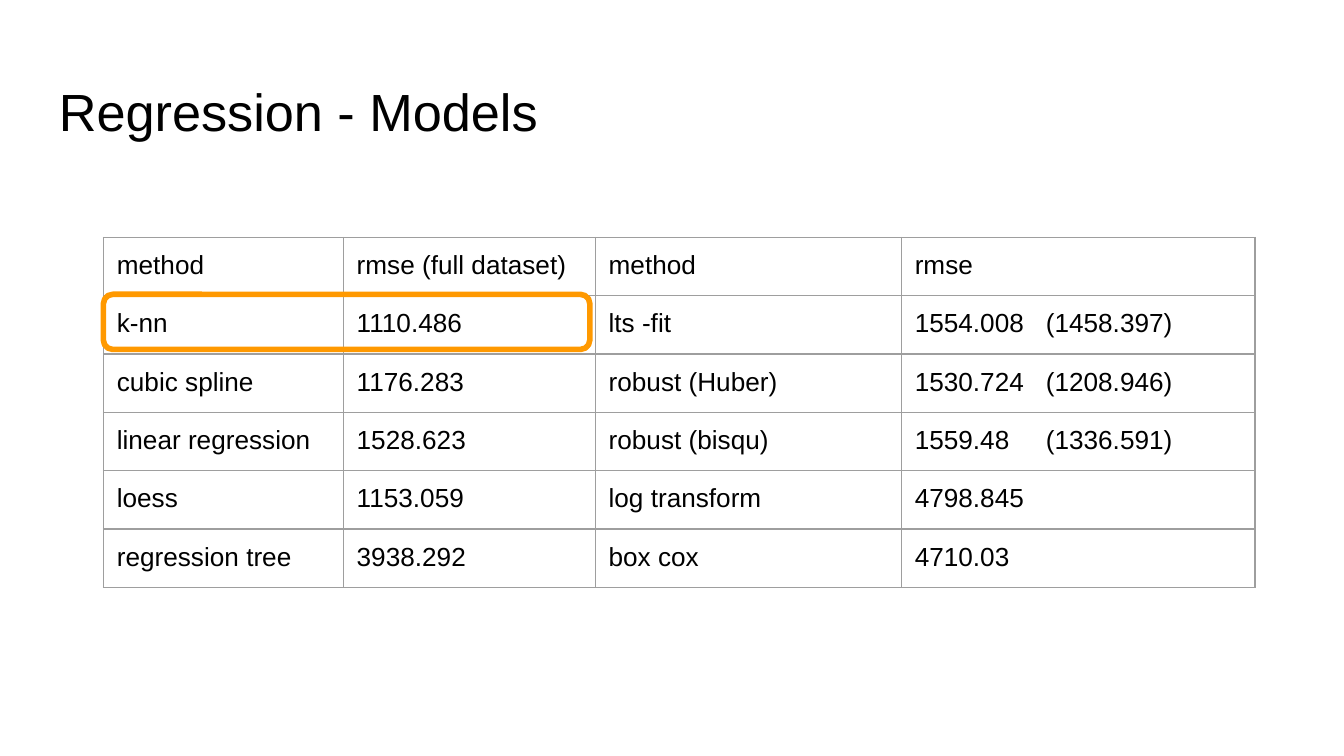
import pptx
import pptx.dml.color
import pptx.enum.shapes
import pptx.oxml
import pptx.oxml.ns
import pptx.util

Pt = pptx.util.Pt
FONT = "Arial"
COLORS = {"text": "000000", "grid": "9E9E9E", "highlight": "FF9900"}

TITLE = "Regression - Models"
ROWS = [
    ("method", "rmse (full dataset)", "method", "rmse"),
    ("k-nn", "1110.486", "lts -fit", "1554.008\t(1458.397)"),
    ("cubic spline", "1176.283", "robust (Huber)", "1530.724\t(1208.946)"),
    ("linear regression", "1528.623", "robust (bisqu)", "1559.48\t(1336.591)"),
    ("loess", "1153.059", "log transform", "4798.845"),
    ("regression tree", "3938.292", "box cox", "4710.03"),
]
COL_WIDTHS = [128.5, 135, 164, 189.5]
ROW_HEIGHT = 30.1
LEFT, TOP = 55.4, 127.2
INSET = 7.2
TAB_STOP = 70.2
HIGHLIGHT_ROW = 1
HIGHLIGHT_WIDTH = 260.6


def rgb(name):
    return pptx.dml.color.RGBColor.from_string(COLORS[name])


def set_text(tf, text, size):
    tf.text = text
    font = tf.paragraphs[0].runs[0].font
    font.name, font.size = FONT, Pt(size)
    font.color.rgb = rgb("text")


def set_insets(obj):
    obj.margin_left = obj.margin_right = Pt(INSET)
    obj.margin_top = obj.margin_bottom = Pt(INSET)


def add_tab_stop(p, pos):
    pPr = p._p.get_or_add_pPr()
    pPr.append(pptx.oxml.parse_xml(
        f'<a:tabLst {pptx.oxml.ns.nsdecls("a")}>'
        f'<a:tab pos="{Pt(pos)}" algn="l"/></a:tabLst>'))


def set_borders(cell, color, width):
    tcPr = cell._tc.get_or_add_tcPr()
    for i, side in enumerate(("lnL", "lnR", "lnT", "lnB")):
        tcPr.insert(i, pptx.oxml.parse_xml(
            f'<a:{side} {pptx.oxml.ns.nsdecls("a")} w="{Pt(width)}">'
            f'<a:solidFill><a:srgbClr val="{color}"/></a:solidFill></a:{side}>'))


def add_title(slide):
    sp = slide.shapes.add_textbox(Pt(24.5), Pt(35.3), Pt(671), Pt(45.4))
    tf = sp.text_frame
    tf.word_wrap = True
    set_insets(tf)
    set_text(tf, TITLE, 28)


def add_models_table(slide):
    table = slide.shapes.add_table(
        len(ROWS), len(COL_WIDTHS), Pt(LEFT), Pt(TOP),
        Pt(sum(COL_WIDTHS)), Pt(ROW_HEIGHT * len(ROWS))).table
    table.first_row = table.horz_banding = False
    for col, width in zip(table.columns, COL_WIDTHS):
        col.width = Pt(width)
    for row, texts in zip(table.rows, ROWS):
        row.height = Pt(ROW_HEIGHT)
        for cell, text in zip(row.cells, texts):
            set_insets(cell)
            set_text(cell.text_frame, text, 14)
            if "\t" in text:
                add_tab_stop(cell.text_frame.paragraphs[0], TAB_STOP)
            cell.fill.background()
            set_borders(cell, COLORS["grid"], 0.75)


def add_highlight(slide):
    sp = slide.shapes.add_shape(
        pptx.enum.shapes.MSO_SHAPE.ROUNDED_RECTANGLE,
        Pt(LEFT), Pt(TOP + HIGHLIGHT_ROW * ROW_HEIGHT + 0.4),
        Pt(HIGHLIGHT_WIDTH), Pt(29.5))
    sp.adjustments[0] = 0.17
    sp.shadow.inherit = False
    sp.fill.background()
    sp.line.color.rgb = rgb("highlight")
    sp.line.width = Pt(3)


def main():
    prs = pptx.Presentation()
    prs.slide_width, prs.slide_height = Pt(720), Pt(405)
    slide = prs.slides.add_slide(prs.slide_layouts[6])
    add_title(slide)
    add_models_table(slide)
    add_highlight(slide)
    prs.save("out.pptx")


if __name__ == "__main__":
    main()
